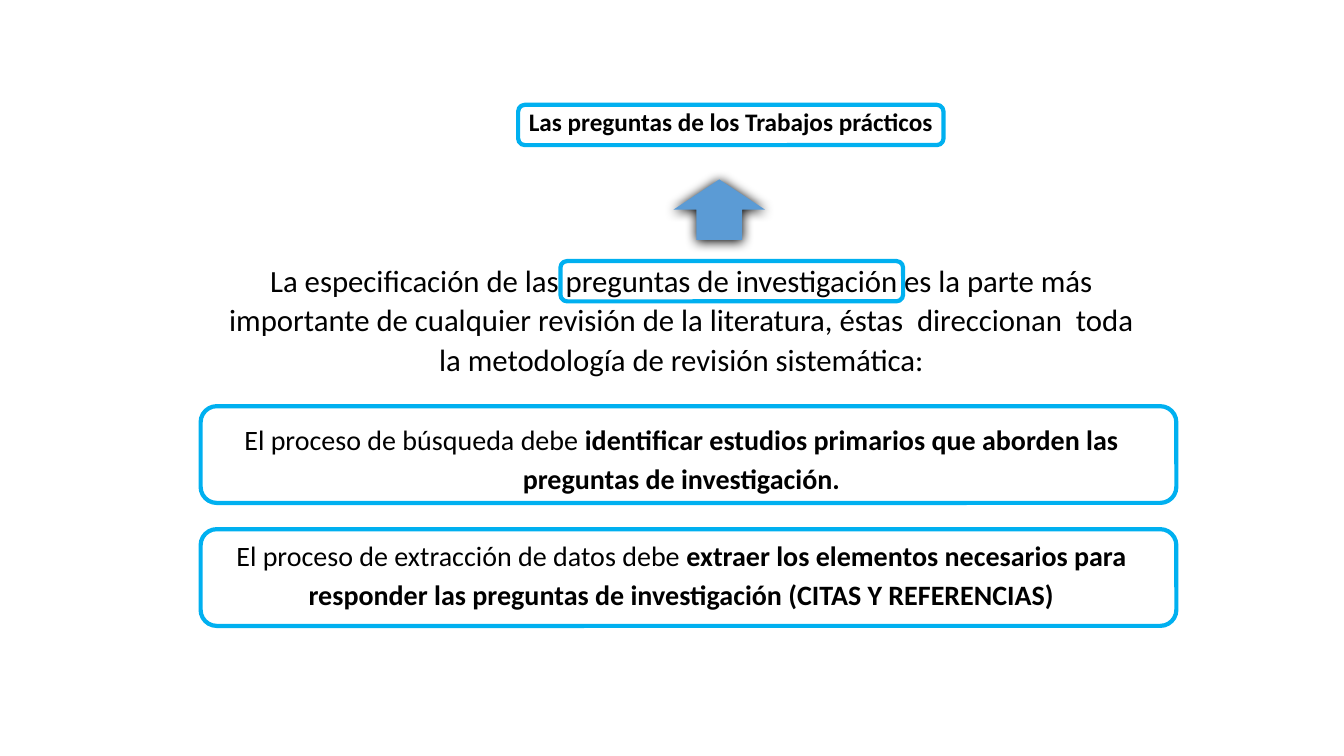
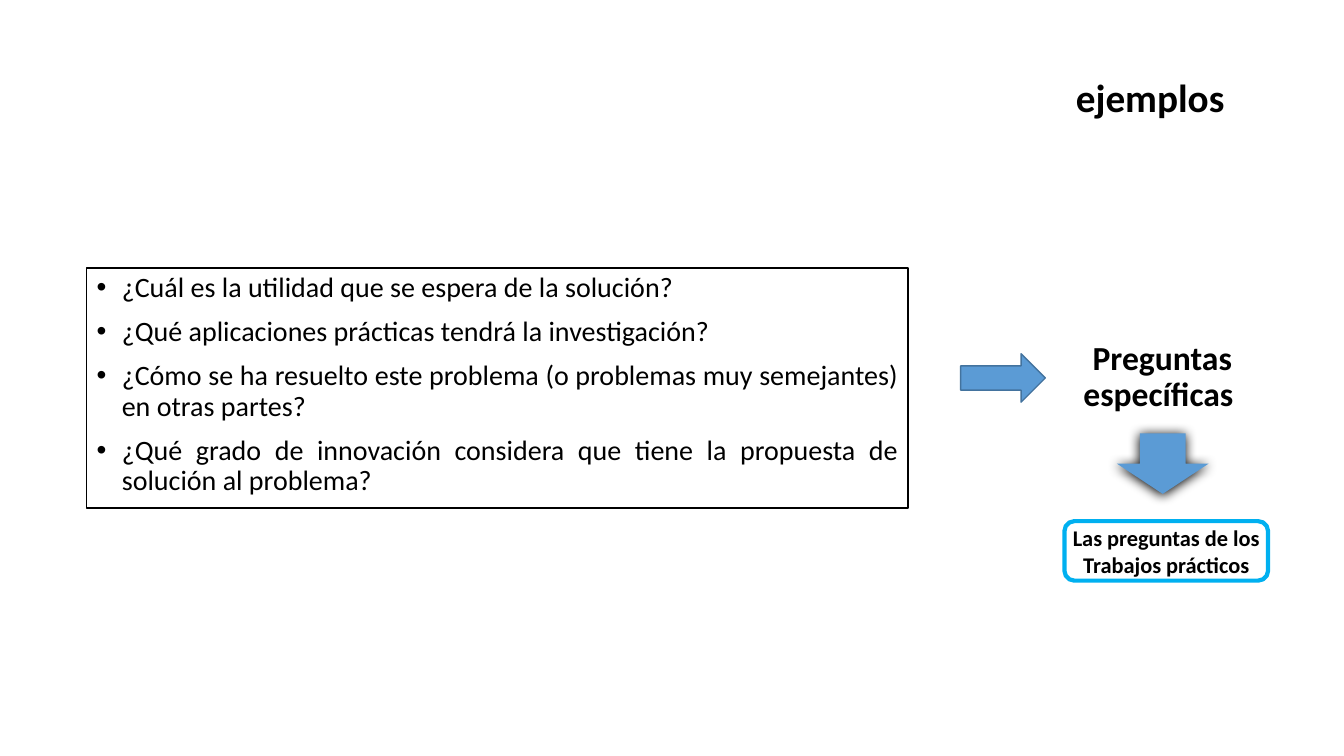
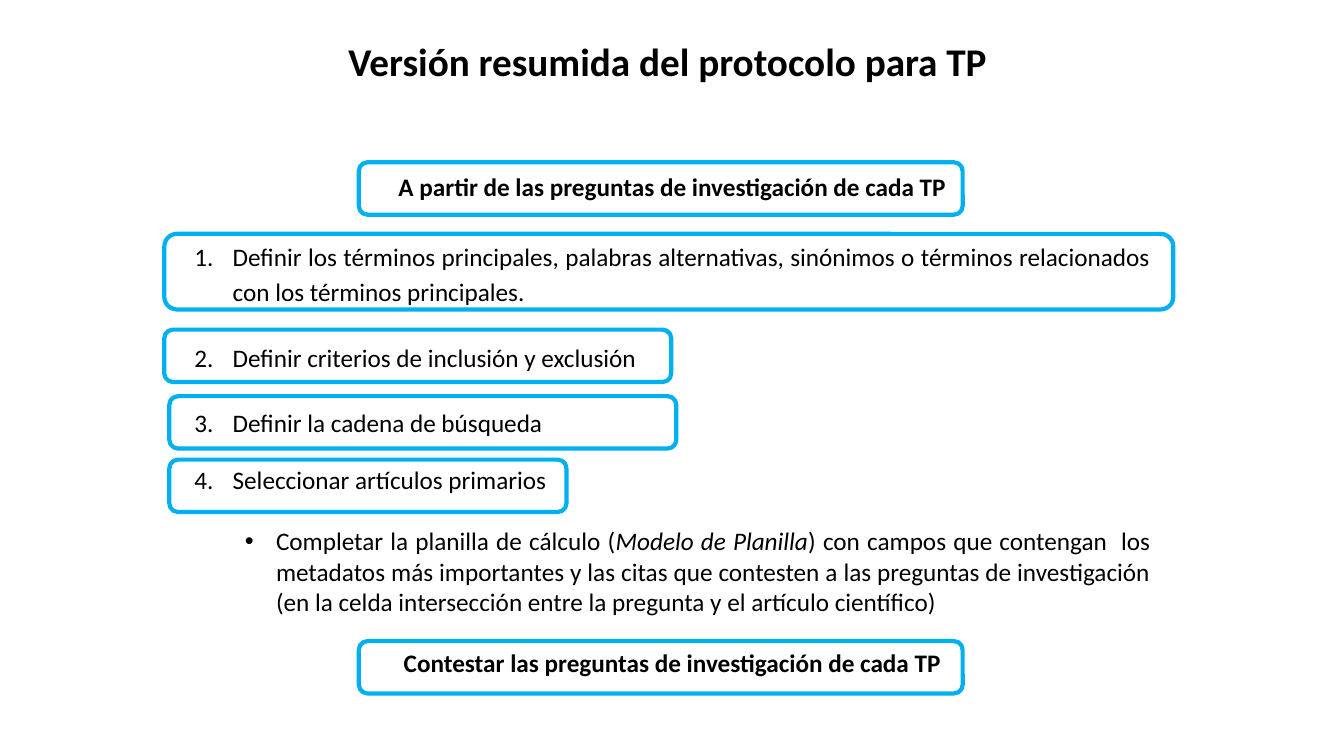
from dataclasses import dataclass
from typing import Optional

from lxml import etree
from pptx import Presentation
from pptx.dml.color import RGBColor
from pptx.enum.shapes import MSO_SHAPE
from pptx.enum.text import MSO_ANCHOR, MSO_AUTO_SIZE, PP_ALIGN
from pptx.oxml.ns import qn
from pptx.util import Inches, Pt

# Shared style
COLORS = {"text": "000000", "frame": "00B0F0", "arrow": "5B9BD5",
          "arrow_line": "43739E", "shadow": "000000"}
FONT = "Calibri"
CELL = 0.1  # inches: the slide is a grid of 133.33 columns by 75 rows
COLUMNS, ROWS = 133.33, 75
TITLE_ONLY, BLANK = 5, 6
LEFT, CENTER, JUSTIFY = PP_ALIGN.LEFT, PP_ALIGN.CENTER, PP_ALIGN.JUSTIFY
TOP, MIDDLE = MSO_ANCHOR.TOP, MSO_ANCHOR.MIDDLE
NO_AUTOFIT = MSO_AUTO_SIZE.NONE
ROUNDED, RECTANGLE = MSO_SHAPE.ROUNDED_RECTANGLE, MSO_SHAPE.RECTANGLE
DOWN_ARROW, RIGHT_ARROW = MSO_SHAPE.DOWN_ARROW, MSO_SHAPE.RIGHT_ARROW
LABEL = "Las preguntas de los Trabajos prácticos"


@dataclass(frozen=True)
class Area:
    """Place on the slide in grid columns and rows."""
    column: float
    row: float
    columns: float
    rows: float

    def lengths(self) -> list:
        cells = (self.column, self.row, self.columns, self.rows)
        return [Inches(cell * CELL) for cell in cells]


@dataclass(frozen=True)
class Run:
    text: str
    bold: bool = False
    italic: bool = False


@dataclass(frozen=True)
class Block:
    """One paragraph; the indents are in columns, the space in points."""
    runs: tuple
    size: float = 18
    align: PP_ALIGN = JUSTIFY
    spacing: float = 1.0
    before: float = 0
    bullet: Optional[str] = None
    margin: float = 0
    hanging: float = 0


def plain(text: str, **style) -> Block:
    return Block((Run(text),), **style)


def bold(text: str, **style) -> Block:
    return Block((Run(text, bold=True),), align=CENTER, **style)


def numbered(text: str, **style) -> Block:
    return plain(text, bullet="number", margin=3.8, hanging=3.8, **style)


def color(name: str) -> RGBColor:
    return RGBColor.from_string(COLORS[name])


# Text
def add_bullet(paragraph, block: Block) -> None:
    properties = paragraph._p.get_or_add_pPr()
    properties.set("marL", str(Inches(block.margin * CELL)))
    properties.set("indent", str(-Inches(block.hanging * CELL)))
    if block.bullet == "number":
        etree.SubElement(properties, qn("a:buAutoNum"), type="arabicPeriod")
    else:
        etree.SubElement(properties, qn("a:buFont"), typeface="Arial")
        etree.SubElement(properties, qn("a:buChar"), char=block.bullet)


def write(shape, blocks: list, anchor=TOP, inset: Optional[float] = None) -> None:
    frame = shape.text_frame
    frame.auto_size = NO_AUTOFIT
    frame.word_wrap = True
    frame.vertical_anchor = anchor
    if inset is not None:
        frame.margin_left = frame.margin_right = Inches(inset)
        frame.margin_top = frame.margin_bottom = Inches(inset)
    for index, block in enumerate(blocks):
        paragraph = frame.add_paragraph() if index else frame.paragraphs[0]
        if block.bullet:
            add_bullet(paragraph, block)
        paragraph.alignment = block.align
        paragraph.line_spacing = block.spacing
        paragraph.space_before = Pt(block.before)
        for part in block.runs:
            run = paragraph.add_run()
            run.text = part.text
            font = run.font
            font.name, font.size = FONT, Pt(block.size)
            font.bold, font.italic = part.bold, part.italic
            font.color.rgb = color("text")


def add_text(slide, area: Area, blocks: list, **style) -> None:
    write(slide.shapes.add_textbox(*area.lengths()), blocks, **style)


def set_title(slide, area: Area, block: Block, anchor=MIDDLE) -> None:
    title = slide.shapes.title
    title.left, title.top, title.width, title.height = area.lengths()
    write(title, [block], anchor=anchor)


# Shapes
def add_shape(slide, kind, area: Area, fill: Optional[str] = None,
              line: Optional[str] = None, width: float = 1):
    shape = slide.shapes.add_shape(kind, *area.lengths())
    shape.shadow.inherit = False
    if fill:
        shape.fill.solid()
        shape.fill.fore_color.rgb = color(fill)
    else:
        shape.fill.background()
    if line:
        shape.line.color.rgb = color(line)
        shape.line.width = Pt(width)
    else:
        shape.line.fill.background()
    return shape


def add_frame(slide, area: Area, label: Optional[Block] = None) -> None:
    shape = add_shape(slide, ROUNDED, area, line="frame", width=3)
    if label:
        write(shape, [label], inset=0)


def add_shadowed_arrow(slide, column: float, row: float, rotation: float = 0) -> None:
    arrow = add_shape(slide, DOWN_ARROW, Area(column, row, 9.1, 6), fill="arrow")
    arrow.rotation = rotation
    effects = arrow._element.spPr.find(qn("a:effectLst"))
    shadow = etree.SubElement(effects, qn("a:outerShdw"), blurRad=str(Pt(8.5)),
                              dist=str(Pt(1)), dir="5400000", rotWithShape="0")
    etree.SubElement(shadow, qn("a:srgbClr"), val=COLORS["shadow"])


# Slides
def build_questions(presentation) -> None:
    slide = presentation.slides.add_slide(presentation.slide_layouts[BLANK])
    process = dict(size=20, align=CENTER, spacing=1.15)
    add_text(slide, Area(20.7, 25.2, 93.8, 36), [
        plain("La especificación de las preguntas de investigación es la parte más "
              "importante de cualquier revisión de la literatura, éstas  direccionan  "
              "toda la metodología de revisión sistemática:",
              size=22, align=CENTER, spacing=1.07),
        Block((Run("El proceso de búsqueda debe "),
               Run("identificar estudios primarios que aborden las preguntas de "
                   "investigación.", bold=True)), before=28.5, **process),
        Block((Run("El proceso de extracción de datos debe "),
               Run("extraer los elementos necesarios para responder las preguntas de "
                   "investigación (CITAS Y REFERENCIAS)", bold=True)),
              before=28, **process),
    ])
    for row in (40.3, 52.5):
        add_frame(slide, Area(19.9, row, 96.8, 9.6))
    add_frame(slide, Area(51.4, 10.4, 42.2, 4), bold(LABEL))
    add_shadowed_arrow(slide, 66.8, 17.8, rotation=180)
    add_frame(slide, Area(55.6, 25.9, 34, 4))


def build_examples(presentation) -> None:
    slide = presentation.slides.add_slide(presentation.slide_layouts[TITLE_ONLY])
    set_title(slide, Area(104.9, 33, 20.8, 8.9),
              bold("Preguntas específicas ", size=24, spacing=0.9))
    questions = (
        "¿Cuál es la utilidad que se espera de la solución?",
        "¿Qué aplicaciones prácticas tendrá la investigación?",
        "¿Cómo se ha resuelto este problema (o problemas muy semejantes) en otras partes?",
        "¿Qué grado de innovación considera que tiene la propuesta de solución al problema?",
    )
    panel = add_shape(slide, RECTANGLE, Area(8.6, 26.6, 81.5, 23.8), line="text")
    write(panel, [
        plain(question, size=20, spacing=0.9, before=10 if index else 0,
              align=JUSTIFY if index else LEFT, bullet="•", margin=2.5, hanging=2.5)
        for index, question in enumerate(questions)])
    add_shape(slide, RIGHT_ARROW, Area(95.3, 35.1, 8.4, 4.8),
              fill="arrow", line="arrow_line")
    add_text(slide, Area(104, 6.1, 20.2, 7.6),
             [bold("ejemplos", size=28, spacing=0.9)], anchor=MIDDLE)
    add_frame(slide, Area(105.6, 51.7, 20.2, 5.9), bold(LABEL, size=16))
    add_shadowed_arrow(slide, 110.8, 43)


def build_protocol(presentation) -> None:
    slide = presentation.slides.add_slide(presentation.slide_layouts[TITLE_ONLY])
    set_title(slide, Area(33.3, 3.2, 66.7, 5.7),
              bold("Versión resumida del protocolo para TP ", size=28), anchor=TOP)
    add_text(slide, Area(18.3, 16.1, 96.8, 54.6), [
        bold("A partir de las preguntas de investigación de cada TP", spacing=1.15),
        numbered("Definir los términos principales, palabras alternativas, sinónimos o "
                 "términos relacionados con los términos principales.",
                 spacing=1.15, before=25),
        numbered("Definir criterios de inclusión y exclusión", spacing=1.15, before=22),
        numbered("Definir la cadena de búsqueda", before=25),
        numbered("Seleccionar artículos primarios", before=19.5),
        Block((Run("Completar la planilla de cálculo ("),
               Run("Modelo de Planilla", italic=True),
               Run(") con campos que contengan  los metadatos más importantes y las "
                   "citas que contesten a las preguntas de investigación (en la celda "
                   "intersección entre la pregunta y el artículo científico)")),
              before=22, bullet="•", margin=8.1, hanging=3.1),
        bold("Contestar las preguntas de investigación de cada TP", before=22),
    ])
    # Frames of the steps, then of the opening and closing lines
    add_frame(slide, Area(16.3, 23.2, 100.1, 7.5))
    for column, row, columns in ((16.3, 32.7, 50.3), (16.8, 39.3, 50.3),
                                 (16.8, 45.6, 39.4), (35.6, 16.1, 59.9),
                                 (35.6, 63.6, 59.9)):
        add_frame(slide, Area(column, row, columns, 5.2))


def main() -> None:
    presentation = Presentation()
    presentation.slide_width = Inches(COLUMNS * CELL)
    presentation.slide_height = Inches(ROWS * CELL)
    for build in (build_questions, build_examples, build_protocol):
        build(presentation)
    presentation.save("out.pptx")


if __name__ == "__main__":
    main()
